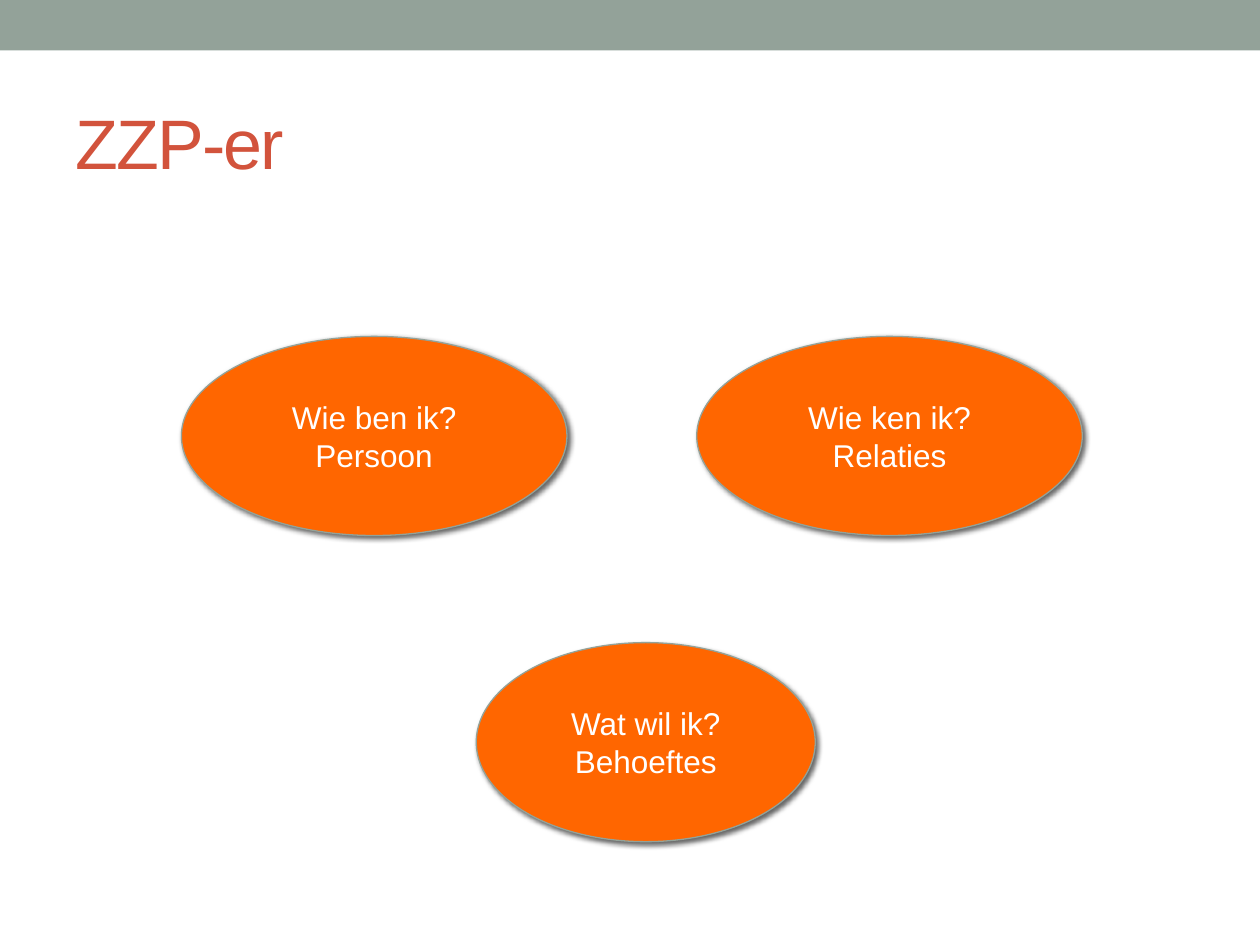
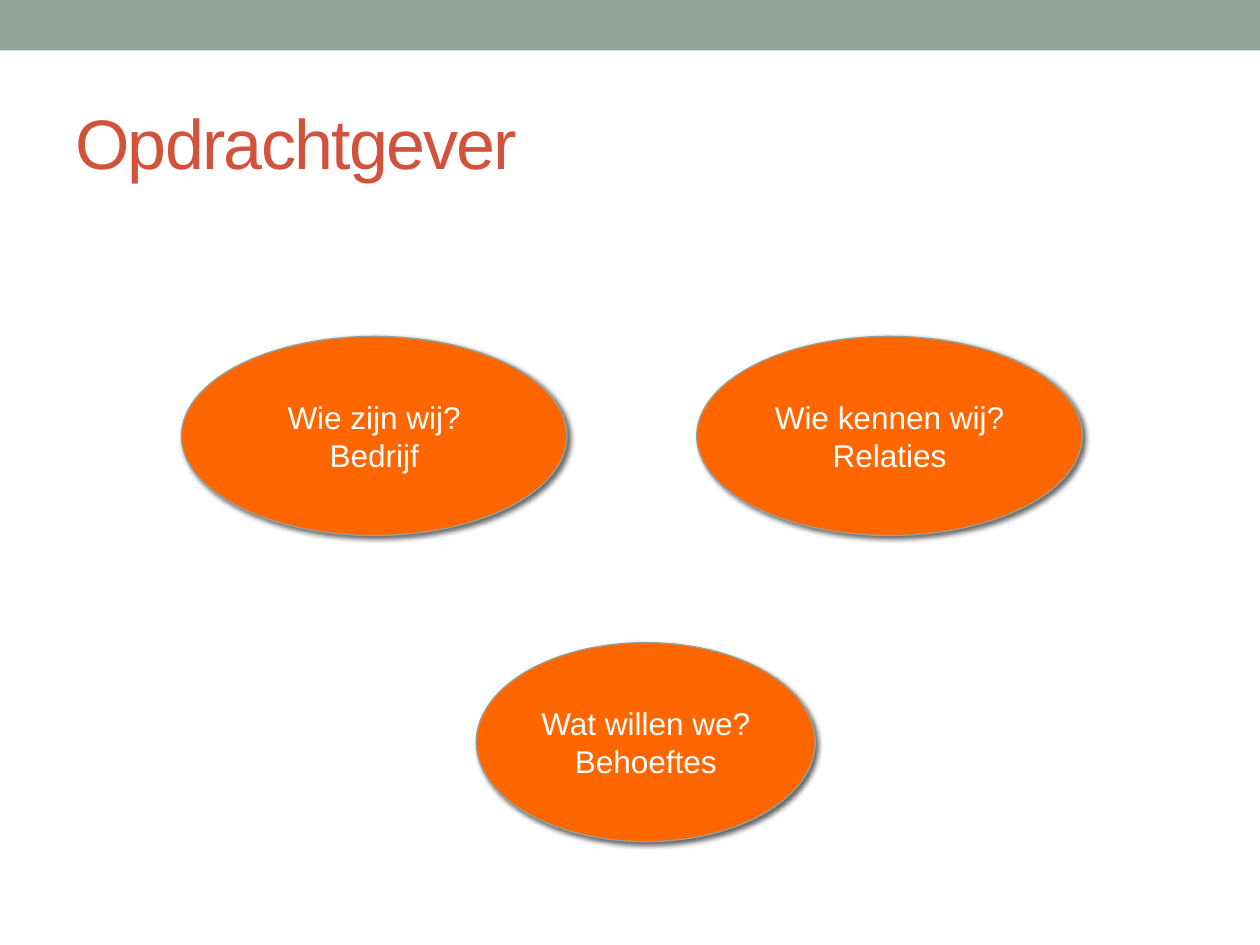
import pptx
import pptx.dml.color
import pptx.enum.shapes
import pptx.enum.text
import pptx.oxml
import pptx.oxml.ns
import pptx.util
from dataclasses import dataclass


@dataclass(frozen=True)
class Theme:
    font: str = "Arial"
    band: str = "93A299"
    title: str = "D2533C"
    bubble: str = "FF6600"
    bubble_text: str = "FFFFFF"
    shadow: str = "000000"
    title_size: int = 40
    bubble_size: int = 18
    outline: float = 0.75


theme = Theme()
rgb = pptx.dml.color.RGBColor.from_string
shapes = pptx.enum.shapes.MSO_SHAPE
middle = pptx.enum.text.MSO_ANCHOR.MIDDLE

SHADOW = (
    f'<a:effectLst {pptx.oxml.ns.nsdecls("a")}>'
    '<a:outerShdw blurRad="38100" dist="25400" dir="2700000" rotWithShape="0">'
    f'<a:srgbClr val="{theme.shadow}"><a:alpha val="60000"/></a:srgbClr>'
    '</a:outerShdw></a:effectLst>'
)

prs = pptx.Presentation()
prs.slide_width = pptx.util.Inches(10)
prs.slide_height = pptx.util.Inches(7.5)

# Bubble grid: left, top and width of each place, in inches
row_tops = (2.67, 5.1)
bubble_height = 1.58
places = [(1.44, row_tops[0], 3.06), (5.53, row_tops[0], 3.06), (3.78, row_tops[1], 2.69)]

slides = {
    "ZZP-er": [
        ("Wie ben ik?", "Persoon"),
        ("Wie ken ik?", "Relaties"),
        ("Wat wil ik?", "Behoeftes"),
    ],
    "Opdrachtgever": [
        ("Wie zijn wij?", "Bedrijf"),
        ("Wie kennen wij?", "Relaties"),
        ("Wat willen we?", "Behoeftes"),
    ],
}


def box(*inches):
    return [pptx.util.Inches(v) for v in inches]


def style(p, size, color):
    p.font.name = theme.font
    p.font.size = pptx.util.Pt(size)
    p.font.color.rgb = rgb(color)


for title, bubbles in slides.items():
    s = prs.slides.add_slide(prs.slide_layouts[6])

    # Top band
    sp = s.shapes.add_shape(shapes.RECTANGLE, *box(0, 0, 10, 0.4))
    sp.shadow.inherit = False
    sp.fill.solid()
    sp.fill.fore_color.rgb = rgb(theme.band)
    sp.line.fill.background()

    # Title, with slightly tightened letters
    tf = s.shapes.add_textbox(*box(0.5, 0.58, 9, 1.08)).text_frame
    tf.word_wrap = True
    tf.vertical_anchor = middle
    p = tf.paragraphs[0]
    r = p.add_run()
    r.text = title
    style(p, theme.title_size, theme.title)
    r.font._element.set("spc", "-100")

    # Question bubbles
    for (left, top, width), lines in zip(places, bubbles):
        sp = s.shapes.add_shape(shapes.OVAL, *box(left, top, width, bubble_height))
        sp.fill.solid()
        sp.fill.fore_color.rgb = rgb(theme.bubble)
        sp.line.color.rgb = rgb(theme.band)
        sp.line.width = pptx.util.Pt(theme.outline)
        sp._element.spPr.append(pptx.oxml.parse_xml(SHADOW))
        tf = sp.text_frame
        tf.word_wrap = True
        tf.vertical_anchor = middle
        tf.text = "\n".join(lines)
        for p in tf.paragraphs:
            p.alignment = pptx.enum.text.PP_ALIGN.CENTER
            style(p, theme.bubble_size, theme.bubble_text)

prs.save("out.pptx")
